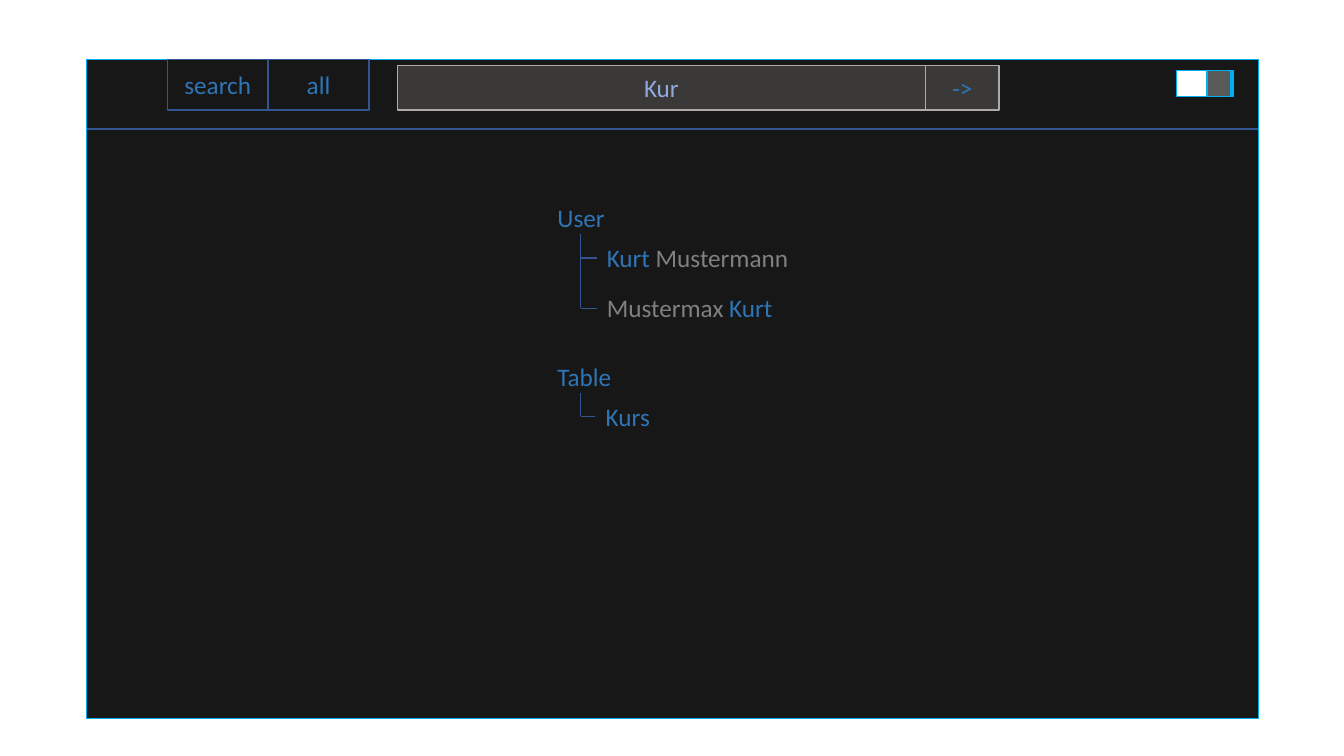
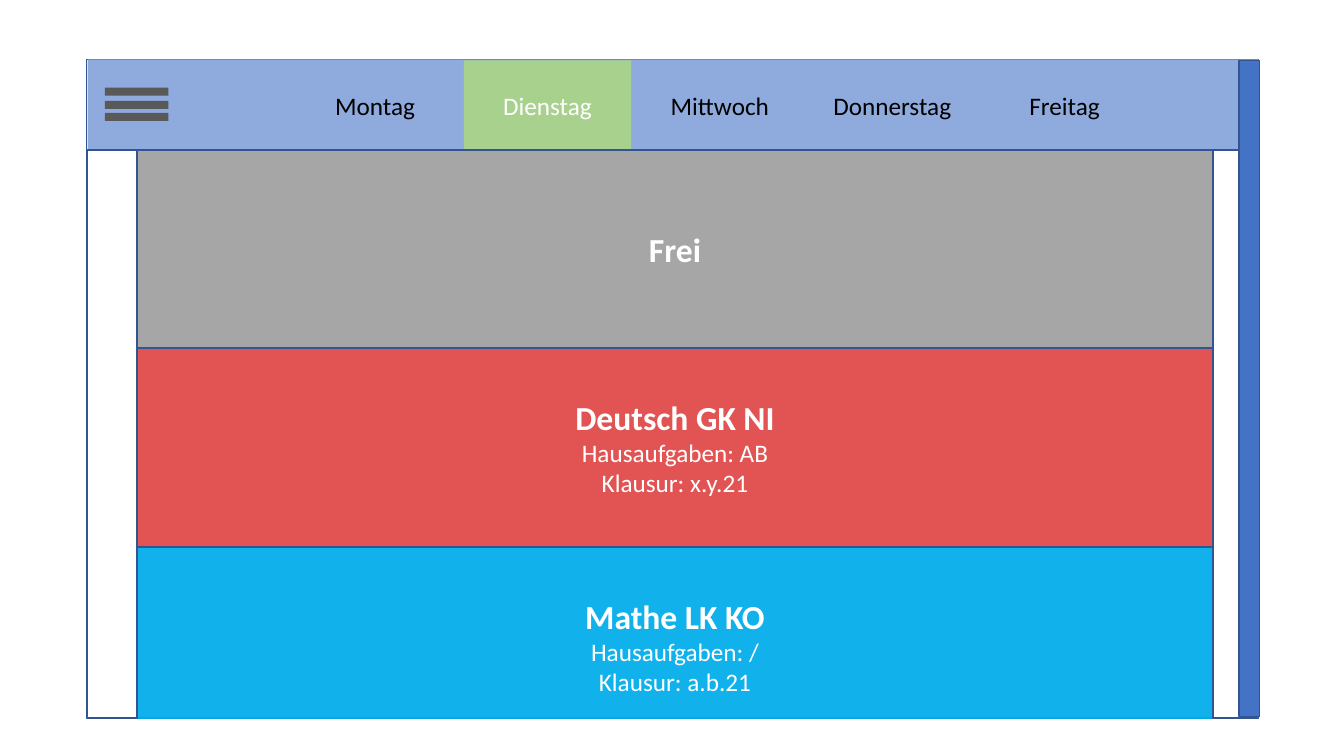
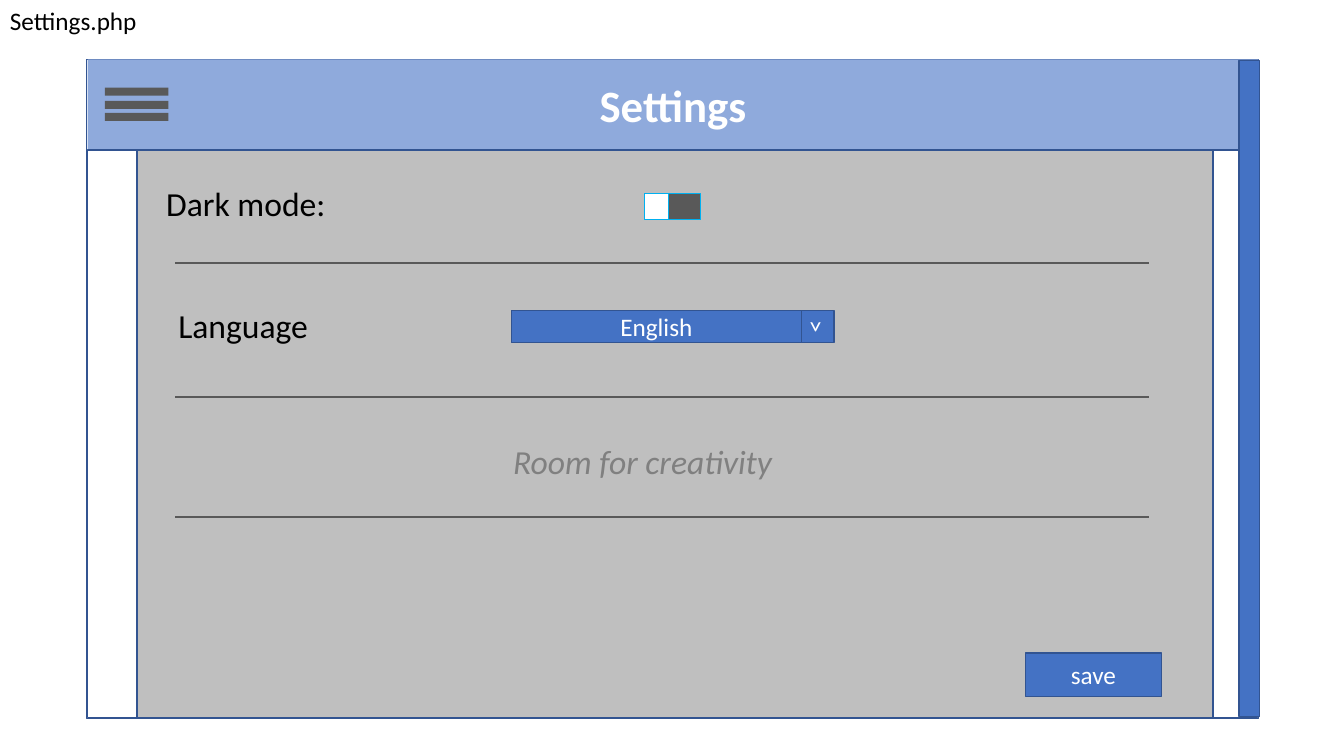
"""Build three app mock-up slides: search, timetable and settings."""
from lxml.etree import SubElement
from pptx import Presentation
from pptx.dml.color import RGBColor as RGB
from pptx.enum.shapes import MSO_CONNECTOR as CON, MSO_SHAPE as SHAPE
from pptx.enum.text import MSO_ANCHOR as ANCHOR, MSO_AUTO_SIZE as FIT, PP_ALIGN as ALIGN
from pptx.oxml.ns import qn
from pptx.util import Inches, Pt

FONT = "Calibri"
WHITE = RGB(0xFF, 0xFF, 0xFF)
BLACK = RGB(0x00, 0x00, 0x00)
NIGHT = RGB(0x18, 0x17, 0x17)
FIELD = RGB(0x3B, 0x38, 0x38)
DARK = RGB(0x59, 0x59, 0x59)
GREY = RGB(0x80, 0x80, 0x80)
STONE = RGB(0xA6, 0xA6, 0xA6)
SILVER = RGB(0xAF, 0xAB, 0xAB)
PANEL = RGB(0xBF, 0xBF, 0xBF)
CYAN = RGB(0x00, 0xB0, 0xF0)
NAVY = RGB(0x32, 0x54, 0x91)
BLUE = RGB(0x44, 0x72, 0xC4)
LINK = RGB(0x2E, 0x75, 0xB6)
PALE = RGB(0x8F, 0xAA, 0xDC)
GREEN = RGB(0xA9, 0xD1, 0x8E)
RED = RGB(0xFF, 0x00, 0x00)


def write(shape, *runs, size=18, bold=False, italic=False, align=ALIGN.CENTER):
    frame = shape.text_frame
    para = frame.add_paragraph() if frame.text else frame.paragraphs[0]
    para.alignment = align
    for text, color in runs:
        run = para.add_run()
        run.text = text
        font = run.font
        font.name, font.size, font.bold, font.italic = FONT, Pt(size), bold, italic
        font.color.rgb = color


def box(slide, x, y, w, h, fill=None, edge=None, alpha=100):
    shape = slide.shapes.add_shape(SHAPE.RECTANGLE, Inches(x), Inches(y), Inches(w), Inches(h))
    shape.shadow.inherit = False
    shape.text_frame.vertical_anchor = ANCHOR.MIDDLE
    if fill is None:
        shape.fill.background()
    else:
        shape.fill.solid()
        shape.fill.fore_color.rgb = fill
    if alpha < 100:
        color = shape.element.spPr.find(qn("a:solidFill"))[0]
        SubElement(color, qn("a:alpha"), val=str(alpha * 1000))
    if edge is None:
        shape.line.fill.background()
    else:
        shape.line.color.rgb = edge
        shape.line.width = Pt(1)
    return shape


deck = Presentation()
deck.slide_width, deck.slide_height = Inches(13.33), Inches(7.5)
search, week, setup = [deck.slides.add_slide(deck.slide_layouts[6]) for _ in range(3)]

for slide, fill, edge in [(search, NIGHT, CYAN), (week, WHITE, NAVY), (setup, WHITE, NAVY)]:
    box(slide, 0.86, 0.59, 11.62, 6.54, fill, edge)

for x, w, text, color in [(3.94, 5.24, "Kur", PALE), (9.18, 0.73, "->", LINK)]:
    write(box(search, x, 0.65, w, 0.44, FIELD, SILVER), (text, color))
for i, text in enumerate(["search", "all"]):
    write(box(search, 1.66 + i, 0.59, 1, 0.5, edge=NAVY), (text, LINK))

for slide in (week, setup):
    bar = box(slide, 0.87, 0.59, 11.61, 0.89, PALE)
    if slide is setup:
        write(bar, ("Settings", WHITE), size=32, bold=True)
    for y in (0.87, 1, 1.12):
        box(slide, 1.04, y, 0.63, 0.08, DARK)
    box(slide, 0.87, 1.49, 11.6, 5.63, WHITE, NAVY)
    box(slide, 1.36, 1.49, 10.67, 5.63, PANEL, NAVY)
    box(slide, 12.29, 0.6, 0.2, 6.51, BLUE, NAVY)

for i, day in enumerate(["Montag", "Dienstag", "Mittwoch", "Donnerstag", "Freitag"]):
    today = day == "Dienstag"
    cell = box(week, 2.89 + 1.71 * i, 0.6, 1.66, 0.9, GREEN if today else None)
    write(cell, (day, WHITE if today else BLACK))

lessons = [
    ("Frei", [], STONE, 100),
    ("Deutsch GK NI", ["Hausaufgaben: AB", "Klausur: x.y.21"], RED, 56),
    ("Mathe LK KO", ["Hausaufgaben: /", "Klausur: a.b.21"], CYAN, 91),
]
for i, (name, notes, fill, alpha) in enumerate(lessons):
    card = box(week, 1.36, 1.49 + 1.97 * i, 10.67, 1.96, fill, NAVY, alpha)
    write(card, (name, WHITE), size=24, bold=True)
    for note in notes:
        write(card, (note, WHITE))
box(week, 0.87, 7.14, 11.62, 0.28, WHITE, WHITE)

for slide, x, y, fill, knob, shift in [
    (search, 11.67, 0.7, WHITE, DARK, 0.3),
    (setup, 6.39, 1.92, DARK, WHITE, 0),
]:
    box(slide, x, y, 0.56, 0.26, fill, CYAN)
    box(slide, x + shift, y, 0.24, 0.26, knob, CYAN)

for x, y, w, h, text, turn in [
    (5.07, 3.08, 2.88, 0.32, "English", 0),
    (7.95, 3.08, 0.32, 0.32, ">", 90),
    (10.17, 6.48, 1.35, 0.43, "save", 0),
]:
    button = box(setup, x, y, w, h, BLUE, NAVY)
    button.rotation = turn
    write(button, (text, WHITE))

labels = [
    (search, 5.43, 1.96, 0.68, 18, [("User", LINK)]),
    (search, 5.92, 2.35, 2.02, 18, [("Kurt ", LINK), ("Mustermann", GREY)]),
    (search, 5.92, 2.85, 1.86, 18, [("Mustermax", GREY), (" Kurt", LINK)]),
    (search, 5.43, 3.54, 0.74, 18, [("Table", LINK)]),
    (search, 5.91, 3.93, 0.64, 18, [("Kurs", LINK)]),
    (setup, 0, 0, 1.48, 18, [("Settings.php", BLACK)]),
    (setup, 1.55, 1.77, 1.8, 24, [("Dark mode:", BLACK)]),
    (setup, 1.67, 2.98, 1.5, 24, [("Language", BLACK)]),
    (setup, 4.99, 4.33, 2.81, 24, [("Room for creativity", GREY)]),
]
for slide, x, y, w, size, runs in labels:
    h = 0.4 if size == 18 else 0.5
    label = slide.shapes.add_textbox(Inches(x), Inches(y), Inches(w), Inches(h))
    label.text_frame.word_wrap = False
    label.text_frame.auto_size = FIT.SHAPE_TO_FIT_TEXT
    hint = slide is setup and runs[0][1] == GREY
    write(label, *runs, size=size, italic=hint, align=ALIGN.LEFT)

rules = [
    (search, 0.86, 1.28, 12.48, 1.28, NAVY),
    (search, 5.76, 2.32, 5.76, 3.06, NAVY),
    (search, 5.76, 2.56, 5.92, 2.56, NAVY),
    (search, 5.76, 3.06, 5.92, 3.06, NAVY),
    (search, 5.76, 3.9, 5.76, 4.13, NAVY),
    (search, 5.76, 4.13, 5.9, 4.13, NAVY),
]
rules += [(setup, 1.74, y, 11.4, y, DARK) for y in (2.61, 3.94, 5.13)]
for slide, *ends, color in rules:
    rule = slide.shapes.add_connector(CON.STRAIGHT, *[Inches(end) for end in ends])
    rule.line.color.rgb = color
    rule.line.width = Pt(1)
    SubElement(rule.element.spPr, qn("a:effectLst"))

deck.save("out.pptx")
